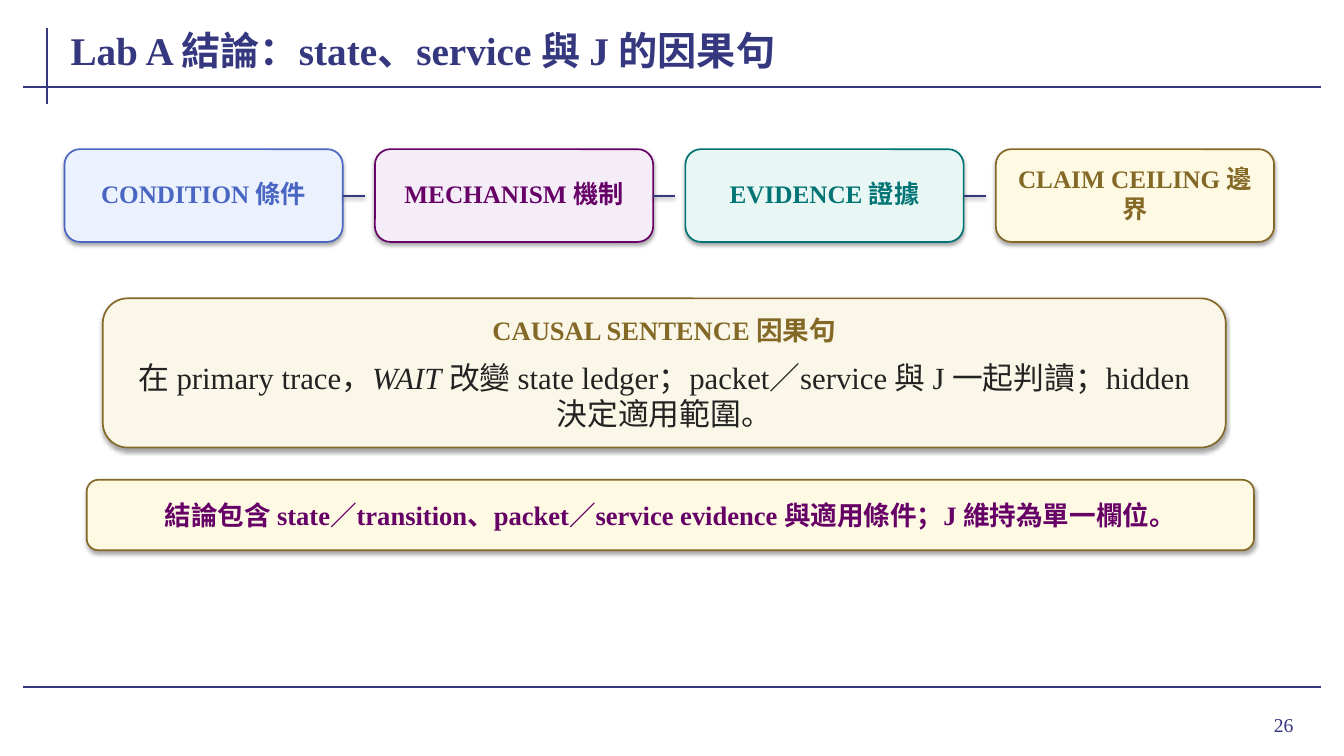
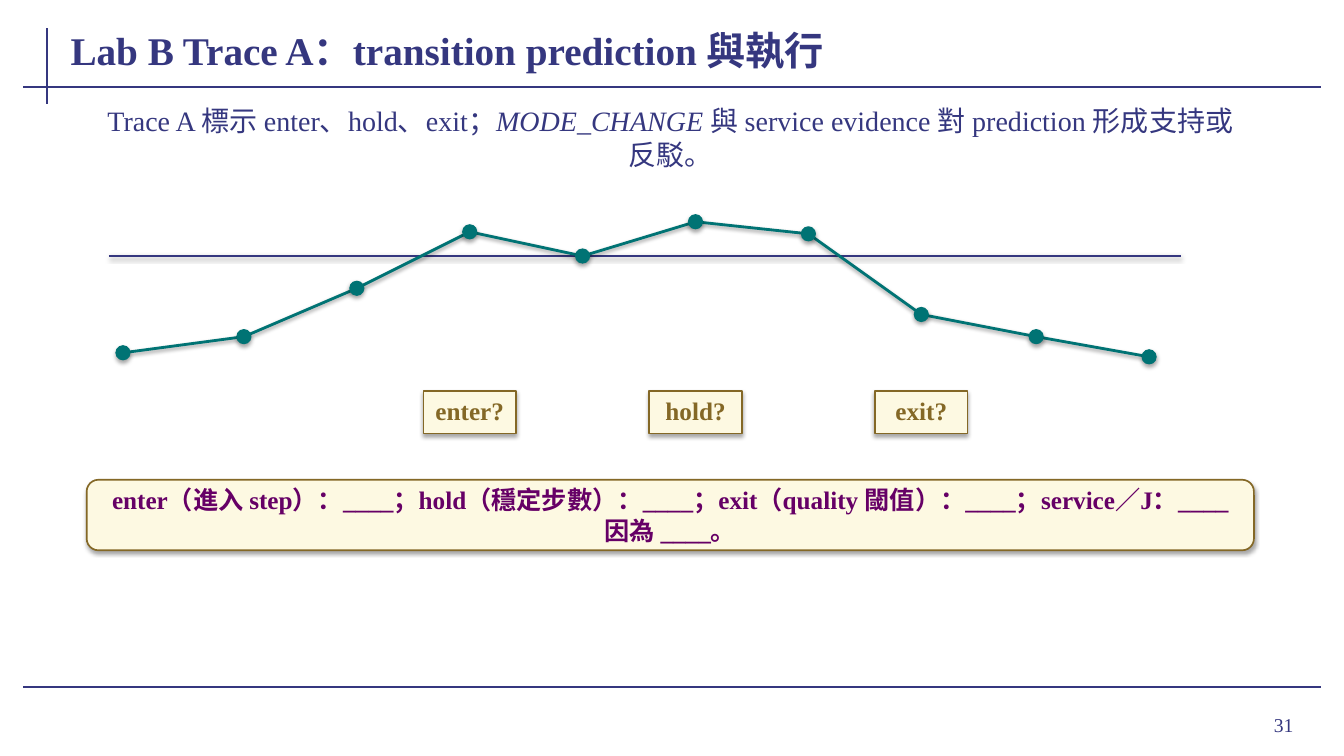
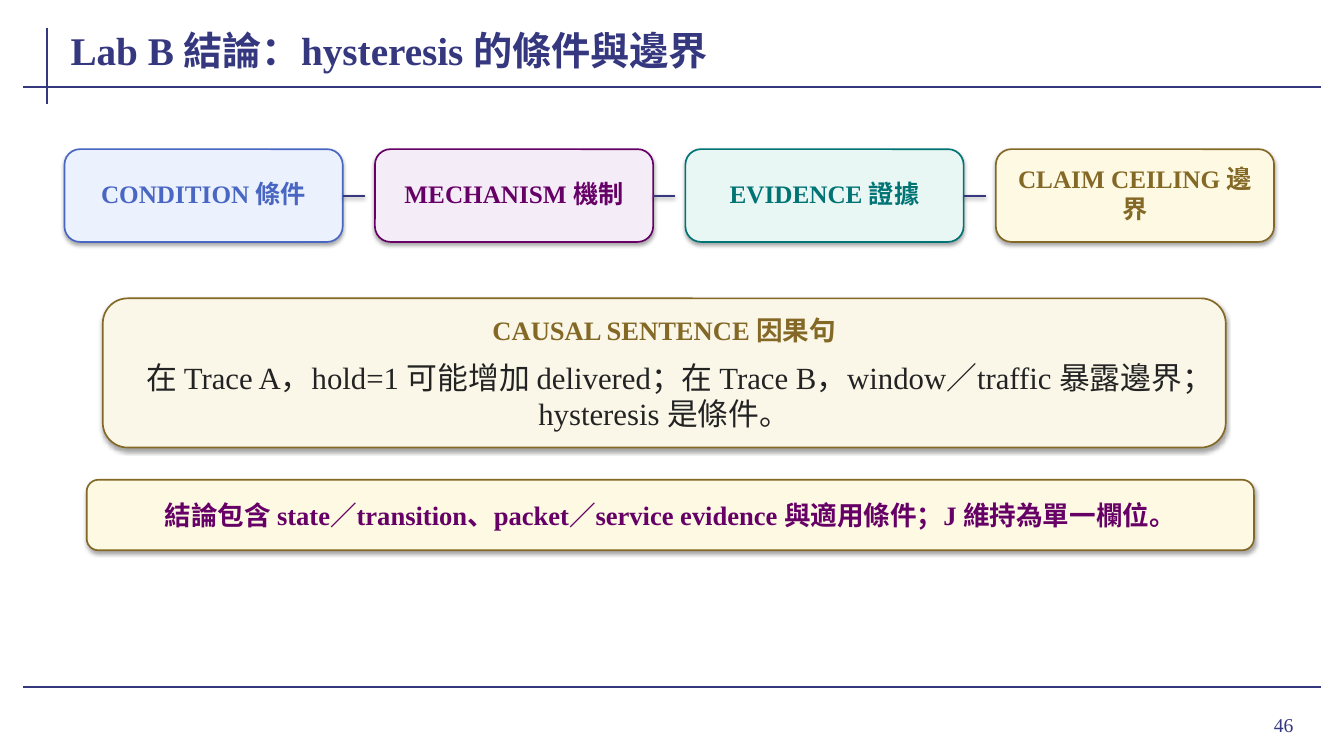
from itertools import pairwise

from lxml import etree
from pptx import Presentation
from pptx import util as u
from pptx.dml.color import RGBColor
from pptx.enum import shapes as es, text as et
from pptx.oxml.ns import qn

FONT = "Times New Roman"
NAVY, BLUE, PLUM, TEAL = "35377F", "4967C2", "660066", "007374"
GOLD, CREAM, SAND, INK = "846826", "FDF9E2", "FAF7E8", "232323"
LEFT, MID, RIGHT = et.PP_ALIGN.LEFT, et.PP_ALIGN.CENTER, et.PP_ALIGN.RIGHT
KIND = es.MSO_SHAPE


def grid(n):
    """Columns and rows are a tenth of an inch."""
    return u.Inches(n / 10)


def color(code):
    return RGBColor.from_string(code)


def shade(item, alpha, dist):
    """Soft shadow straight below; an alpha of 0 gives none."""
    fx = etree.SubElement(item._element.spPr, qn("a:effectLst"))
    if alpha:
        cast = etree.SubElement(
            fx, qn("a:outerShdw"), blurRad=str(u.Pt(3.1)),
            dist=str(u.Pt(dist)), dir="5400000", rotWithShape="0")
        tint = etree.SubElement(cast, qn("a:srgbClr"), val="000000")
        etree.SubElement(tint, qn("a:alpha"), val=str(alpha * 1000))


class Deck:
    def __init__(self):
        self.prs = Presentation()
        self.prs.slide_width, self.prs.slide_height = grid(133.33), grid(75)
        self.slide = None

    def page(self, title, num):
        """New slide with rules, title and page number."""
        self.slide = self.prs.slides.add_slide(self.prs.slide_layouts[5])
        for ends in ((4.7, 2.8, 4.7, 10.3), (2.3, 8.6, 131, 8.6),
                     (2.3, 68.2, 131, 68.2)):
            self.line(*ends, NAVY, 1.5, alpha=0)
        head = self.slide.shapes.title
        head.left, head.top, head.width, head.height = map(
            grid, (6.8, 1.8, 119.5, 6.2))
        self.fill(head, [(title, 28, NAVY, True)], LEFT, 0.2)
        self.text(119.6, 69.3, 9.7, 5.2, str(num), 14, NAVY, RIGHT, 1)

    def fill(self, item, paras, align=MID, side=0.6, low=0, gap=0):
        """Fill a frame; *stars* mark italics, low lifts the text."""
        frame = item.text_frame
        frame.word_wrap = True
        frame.auto_size = et.MSO_AUTO_SIZE.NONE
        frame.vertical_anchor = et.MSO_ANCHOR.MIDDLE
        frame.margin_left = frame.margin_right = grid(side)
        frame.margin_top, frame.margin_bottom = 0, grid(low)
        for i, (words, size, ink, bold) in enumerate(paras):
            para = frame.add_paragraph() if i else frame.paragraphs[0]
            para.alignment = align
            if i:
                para.space_before = u.Pt(gap)
            font = para.font
            font.name, font.size, font.bold = FONT, u.Pt(size), bold
            font.color.rgb = color(ink)
            for j, part in enumerate(words.split("*")):
                run = para.add_run()
                run.text = part
                if j % 2:
                    run.font.italic = True

    def text(self, x, y, w, h, words, size, ink, align=MID, side=0.8):
        box = self.slide.shapes.add_textbox(*map(grid, (x, y, w, h)))
        self.fill(box, [(words, size, ink, False)], align, side)

    def shape(self, kind, x, y, w, h, fill, edge, wide=1.2):
        item = self.slide.shapes.add_shape(kind, *map(grid, (x, y, w, h)))
        item.fill.solid()
        item.fill.fore_color.rgb = color(fill)
        item.line.color.rgb = color(edge)
        item.line.width = u.Pt(wide)
        shade(item, 35, 1.8)
        return item

    def line(self, x1, y1, x2, y2, ink, wide, alpha=38):
        item = self.slide.shapes.add_connector(
            es.MSO_CONNECTOR.STRAIGHT, *map(grid, (x1, y1, x2, y2)))
        item.line.color.rgb = color(ink)
        item.line.width = u.Pt(wide)
        shade(item, alpha, 1.6)
        return item

    def chain(self, cards):
        """Row of cards, each with a short link to the next."""
        wide, step, top, tall = 27.6, 30.8, 14.8, 9.2
        for i, (words, ink, fill) in enumerate(cards):
            x = 6.4 + i * step
            card = self.shape(KIND.ROUNDED_RECTANGLE, x, top, wide, tall,
                              fill, ink)
            self.fill(card, [(words, 18, ink, True)], low=0.4)
            if i < len(cards) - 1:
                end, y = x + wide, top + tall / 2
                link = self.line(end, y, end + 2.2, y, NAVY, 1.4)
                link.begin_connect(card, 3)

    def panel(self, head, body):
        box = self.shape(KIND.ROUNDED_RECTANGLE, 10.2, 29.6, 111.4, 14.8,
                         SAND, GOLD)
        self.fill(box, [(head, 19, GOLD, True), (body, 22, INK, False)],
                  side=2.1, gap=9)

    def band(self, words, size=19):
        box = self.shape(KIND.ROUNDED_RECTANGLE, 8.6, 47.6, 115.8, 7,
                         CREAM, GOLD)
        self.fill(box, [(words, size, PLUM, True)], side=1.6)

    def trace(self, points):
        for start, end in pairwise(points):
            self.line(*start, *end, TEAL, 2)
        for x, y in points:
            self.shape(KIND.OVAL, x - 0.7, y - 0.7, 1.4, 1.4,
                       TEAL, TEAL, 0.75)

    def tag(self, x, words):
        box = self.shape(KIND.RECTANGLE, x - 4.6, 38.8, 9.2, 4.2, CREAM, GOLD)
        self.fill(box, [(words, 18, GOLD, True)], low=0.4)

    def finish(self, title, num, body):
        """Conclusion slide of one lab."""
        self.page(title, num)
        self.chain([("CONDITION 條件", BLUE, "ECF1FE"),
                    ("MECHANISM 機制", PLUM, "F4EDF7"),
                    ("EVIDENCE 證據", TEAL, "E8F7F4"),
                    ("CLAIM CEILING 邊界", GOLD, CREAM)])
        self.panel("CAUSAL SENTENCE 因果句", body)
        self.band("結論包含 state／transition、packet／service evidence "
                  "與適用條件；J 維持為單一欄位。")


def main():
    deck = Deck()

    # Lab A conclusion
    deck.finish("Lab A 結論：state、service 與 J 的因果句", 26,
                "在 primary trace，*WAIT* 改變 state ledger；packet／service "
                "與 J 一起判讀；hidden 決定適用範圍。")

    # Lab B trace against its threshold
    deck.page("Lab B Trace A：transition prediction 與執行", 31)
    deck.text(9.8, 11.8, 113.4, 3.6,
              "Trace A 標示 enter、hold、exit；*MODE_CHANGE* 與 service "
              "evidence 對 prediction 形成支持或反駁。", 20, NAVY)
    deck.line(10.8, 25.4, 117.2, 25.4, NAVY, 1.8)
    points = [(12.2, 35), (24.2, 33.4), (35.4, 28.6), (46.6, 23),
              (57.8, 25.4), (69, 22), (80.2, 23.2), (91.4, 31.2),
              (102.8, 33.4), (114, 35.4)]
    deck.trace(points)
    for i, words in ((3, "enter?"), (5, "hold?"), (7, "exit?")):
        deck.tag(points[i][0], words)
    deck.band("enter（進入 step）：____；hold（穩定步數）：____；"
              "exit（quality 閾值）：____；service／J：____ 因為 ____。", 18)

    # Lab B conclusion
    deck.finish("Lab B 結論：hysteresis 的條件與邊界", 46,
                "在 Trace A，hold=1 可能增加 delivered；在 Trace B，"
                "window／traffic 暴露邊界；hysteresis 是條件。")

    deck.prs.save("out.pptx")


if __name__ == "__main__":
    main()
